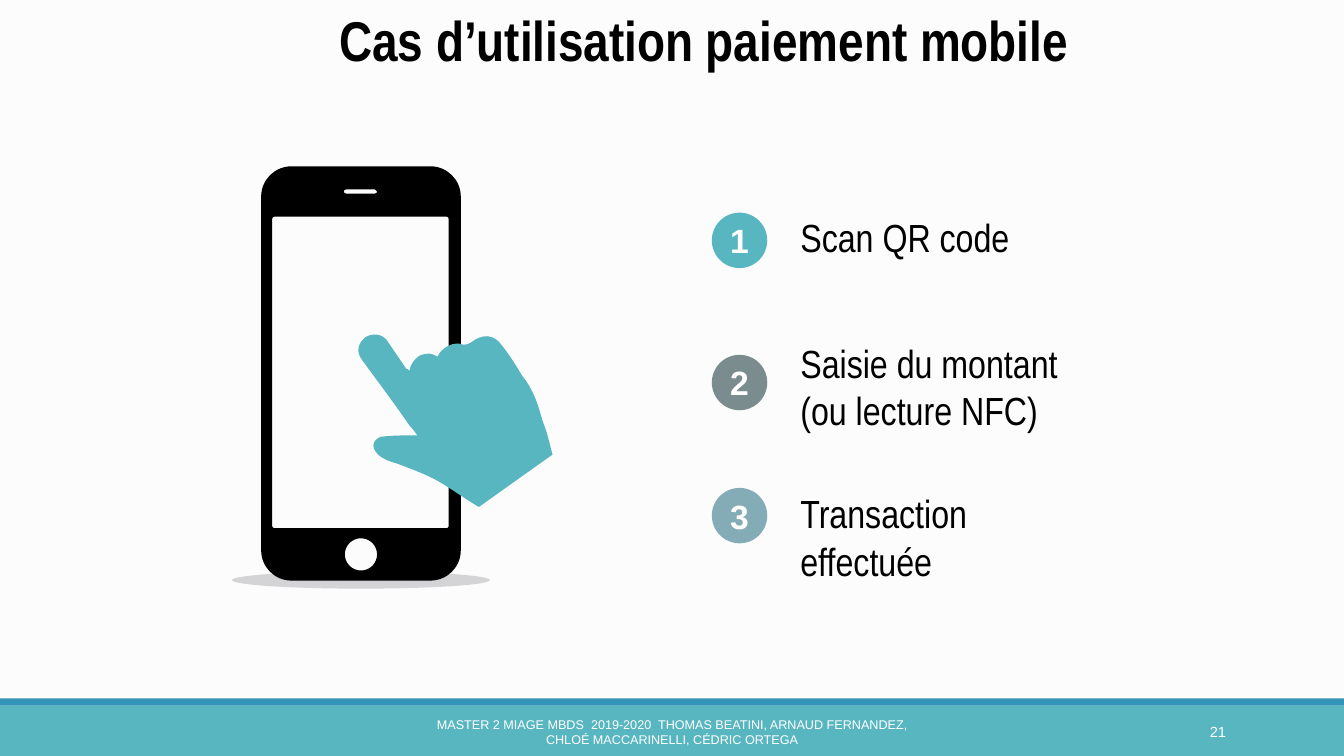
"""Build the slide on the mobile payment use case."""
from dataclasses import dataclass
from typing import Iterable

from lxml import etree
from pptx import Presentation
from pptx import util as u
from pptx.dml.color import RGBColor
from pptx.enum import shapes, text
from pptx.oxml import ns

PX = 9144
ARC = 0.55
FONT, NARROW = "Arial", "Arial Narrow"
COLOURS = {
    "page": "FCFCFC", "teal": "58B6C0", "blue": "3494BA", "grey": "7A8C8E",
    "mist": "84ACB6", "shade": "373545", "black": "000000", "white": "FFFFFF",
}
Point = tuple[float, float]
Align = text.PP_ALIGN
Anchor = text.MSO_ANCHOR


@dataclass(frozen=True)
class Box:
    left: int
    top: int
    width: int
    height: int

    def emu(self) -> list[int]:
        return [n * PX for n in (self.left, self.top, self.width, self.height)]


@dataclass(frozen=True)
class Step:
    wording: str
    colour: str
    disc_top: int
    label_top: int
    label_height: int


STEPS = (
    Step("Scan QR code", "teal", 211, 207, 57),
    Step("Saisie du montant\n(ou lecture NFC)", "grey", 352, 332, 104),
    Step("Transaction effectuée", "mist", 484, 481, 57),
)
PHONE_PARTS = (
    (Box(259, 165, 198, 411), 30),
    (Box(341, 188, 33, 4), 2),
    (Box(342, 534, 32, 32), 16),
    (Box(270, 215, 175, 309), 2),
)
HAND_START = (475, 503)
HAND_CURVES = (
    ((463, 496), (452, 488), (439, 480)),
    ((426, 472), (410, 466), (394, 460)),
    ((387, 458), (380, 456), (374, 450)),
    ((372, 447), (369, 444), (371, 439)),
    ((373, 435), (377, 433), (381, 433)),
    ((391, 432), (401, 432), (411, 432)),
    ((411, 432), (412, 432), (414, 432)),
    ((411, 428), (409, 425), (406, 422)),
    ((391, 400), (375, 379), (359, 357)),
    ((353, 349), (355, 341), (362, 335)),
    ((369, 330), (379, 331), (384, 338)),
    ((390, 347), (397, 357), (403, 366)),
    ((404, 366), (405, 366), (406, 368)),
    ((407, 362), (411, 356), (416, 353)),
    ((423, 350), (428, 350), (434, 354)),
    ((435, 351), (437, 349), (439, 347)),
    ((445, 342), (452, 339), (459, 342)),
    ((462, 342), (464, 342), (467, 340)),
    ((478, 331), (490, 331), (498, 343)),
    ((506, 353), (512, 363), (518, 373)),
    ((523, 379), (527, 386), (530, 393)),
    ((534, 402), (536, 411), (539, 420)),
    ((543, 430), (545, 440), (548, 451)),
)


def rgb(colour: str) -> RGBColor:
    return RGBColor.from_string(COLOURS[colour])


def write(shape, wording: str, *, size: float, colour: str = "black", font: str = FONT,
          bold: bool = False, align: Align = Align.CENTER, anchor: Anchor = Anchor.TOP,
          fit: text.MSO_AUTO_SIZE = text.MSO_AUTO_SIZE.NONE) -> None:
    frame = shape.text_frame
    frame.text = wording
    frame.word_wrap = True
    frame.auto_size = fit
    frame.vertical_anchor = anchor
    for para in frame.paragraphs:
        para.alignment = align
        for span in para.runs:
            span.font.name, span.font.size, span.font.bold = font, u.Pt(size), bold
            span.font.color.rgb = rgb(colour)


def paint(shape, colour: str):
    shape.shadow.inherit = False
    shape.fill.solid()
    shape.fill.fore_color.rgb = rgb(colour)
    shape.line.fill.background()
    return shape


def add_preset(page, kind: shapes.MSO_SHAPE, box: Box, colour: str):
    return paint(page.shapes.add_shape(kind, *box.emu()), colour)


def bend(shape) -> None:
    """Turn every three straight segments into one Bézier curve."""
    segments = list(shape.element.iter(ns.qn("a:lnTo")))
    for first, second, third in zip(*[iter(segments)] * 3):
        curve = etree.Element(ns.qn("a:cubicBezTo"))
        first.addprevious(curve)
        for segment in (first, second, third):
            curve.append(segment[0])
            segment.getparent().remove(segment)


def add_outline(page, contours: Iterable[list[Point]], colour: str):
    first, *others = [[(x * PX, y * PX) for x, y in contour] for contour in contours]
    builder = page.shapes.build_freeform(*first[0], scale=1.0)
    builder.add_line_segments(first[1:], close=True)
    for contour in others:
        builder.move_to(*contour[0])
        builder.add_line_segments(contour[1:], close=True)
    shape = paint(builder.convert_to_shape(), colour)
    bend(shape)
    return shape


def rounded_contour(box: Box, radius: int) -> list[Point]:
    left, top = box.left, box.top
    right, bottom = left + box.width, top + box.height
    corners = (((right, top), (-1, 0), (0, 1)), ((right, bottom), (0, -1), (-1, 0)),
               ((left, bottom), (1, 0), (0, -1)), ((left, top), (0, 1), (1, 0)))
    points: list[Point] = [(left + radius, top)]
    for (x, y), (in_x, in_y), (out_x, out_y) in corners:
        near = radius * (1 - ARC)
        start = (x + radius * in_x, y + radius * in_y)
        if start != points[-1]:
            points += [points[-1], start, start]
        points += [(x + near * in_x, y + near * in_y), (x + near * out_x, y + near * out_y),
                   (x + radius * out_x, y + radius * out_y)]
    return points


def add_footer(page) -> None:
    rectangle = shapes.MSO_SHAPE.RECTANGLE
    add_preset(page, rectangle, Box(0, 700, 1333, 50), "teal")
    add_preset(page, rectangle, Box(0, 693, 1333, 7), "blue")
    credit = page.shapes.add_textbox(*Box(403, 706, 527, 40).emu())
    write(credit, "MASTER 2 MIAGE MBDS  2019-2020  THOMAS BEATINI, ARNAUD FERNANDEZ, "
          "CHLOÉ MACCARINELLI, CÉDRIC ORTEGA", size=9, colour="white", anchor=Anchor.MIDDLE)
    number = page.shapes.add_textbox(*Box(1083, 706, 143, 40).emu())
    write(number, "21", size=10.5, colour="white", align=Align.RIGHT, anchor=Anchor.MIDDLE)


def add_phone(page) -> None:
    shade = add_preset(page, shapes.MSO_SHAPE.OVAL, Box(230, 567, 256, 17), "shade")
    tint = next(shade.element.iter(ns.qn("a:srgbClr")))
    etree.SubElement(tint, ns.qn("a:alpha"), val="20000")
    add_outline(page, (rounded_contour(*part) for part in PHONE_PARTS), "black")
    hand = [HAND_START, *(point for curve in HAND_CURVES for point in curve)]
    add_outline(page, [hand], "teal")


def add_step(page, number: int, step: Step) -> None:
    disc = add_preset(page, shapes.MSO_SHAPE.OVAL, Box(706, step.disc_top, 55, 55), step.colour)
    write(disc, str(number), size=24, colour="white", bold=True, anchor=Anchor.MIDDLE)
    label = page.shapes.add_textbox(*Box(784, step.label_top, 304, step.label_height).emu())
    write(label, step.wording, size=28, font=NARROW, align=Align.JUSTIFY,
          fit=text.MSO_AUTO_SIZE.SHAPE_TO_FIT_TEXT)


def main() -> None:
    deck = Presentation()
    deck.slide_width, deck.slide_height = 1333 * PX, 750 * PX
    page = deck.slides.add_slide(deck.slide_layouts.get_by_name("Title Only"))
    page.background.fill.solid()
    page.background.fill.fore_color.rgb = rgb("page")
    title = page.shapes.title
    title.left, title.top, title.width, title.height = Box(129, 0, 1138, 77).emu()
    write(title, "Cas d’utilisation paiement mobile", size=40, font=NARROW, bold=True,
          fit=text.MSO_AUTO_SIZE.SHAPE_TO_FIT_TEXT)
    add_footer(page)
    add_phone(page)
    for number, step in enumerate(STEPS, 1):
        add_step(page, number, step)
    deck.save("out.pptx")


if __name__ == "__main__":
    main()
